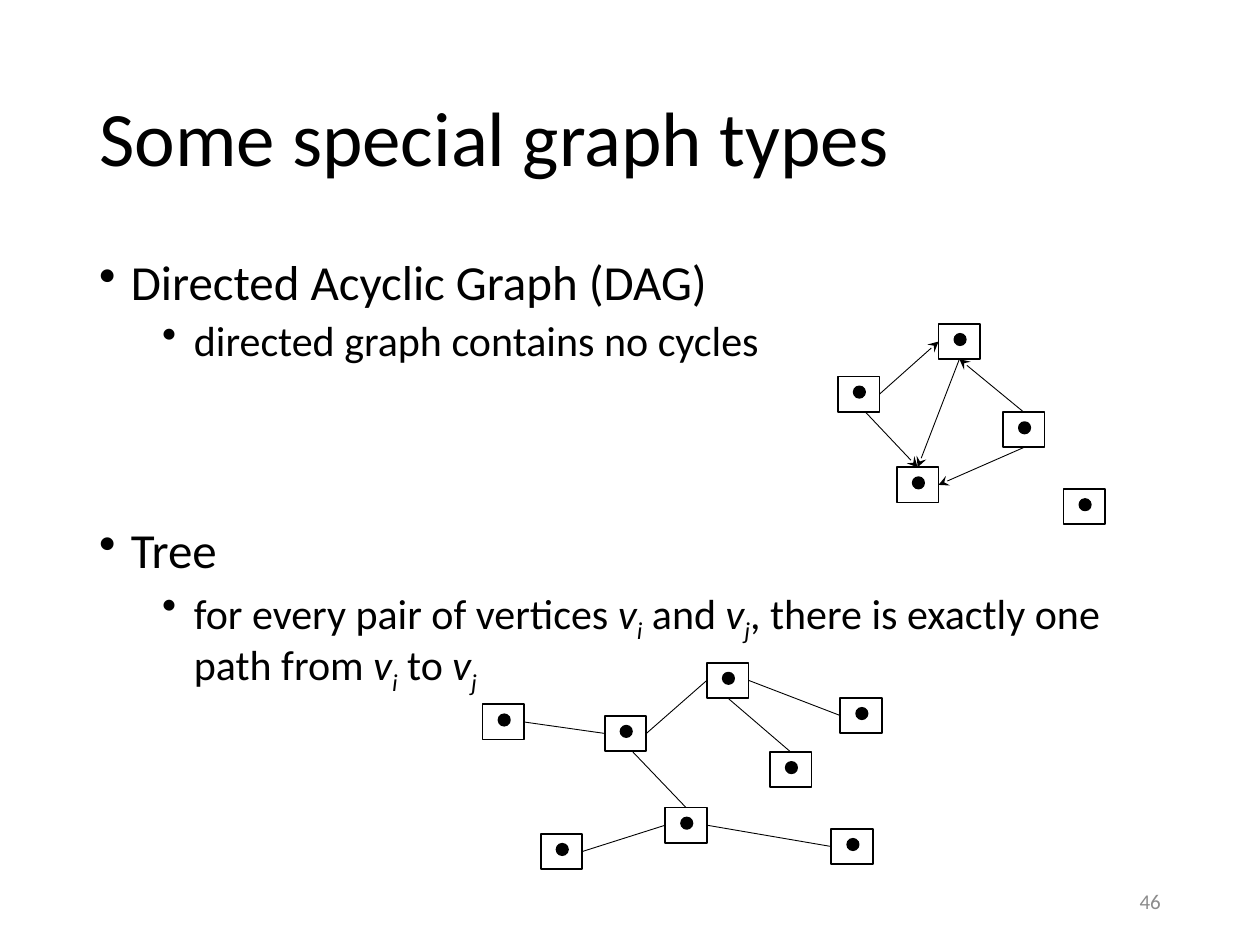
import pptx
import pptx.dml.color
import pptx.enum.dml
import pptx.enum.shapes
import pptx.enum.text
import pptx.oxml
import pptx.oxml.ns
import pptx.util
from lxml import etree

Cm = pptx.util.Cm
Pt = pptx.util.Pt
qn = pptx.oxml.ns.qn
ANCHOR = pptx.enum.text.MSO_ANCHOR
ALIGN = pptx.enum.text.PP_ALIGN
SHAPE = pptx.enum.shapes.MSO_SHAPE
COLORS = {"ink": "000000", "number": "8C8C8C"}
FONT = "Calibri"
TOP, LEFT, BOTTOM, RIGHT = range(4)
NODE_WIDTH, NODE_HEIGHT = 0.84, 0.71
DOT_SIZE, DOT_X, DOT_Y = 0.23, 0.32, 0.2
SIDES = {TOP: (0.5, 0), LEFT: (0, 0.5), BOTTOM: (0.5, 1), RIGHT: (1, 0.5)}

DAG_NODES = {
    "west": (16.89, 7.59), "north": (18.92, 6.53), "east": (20.22, 8.31),
    "south": (18.08, 9.42), "isolated": (21.44, 9.86),
}
DAG_EDGES = [
    ("west", BOTTOM, "south", TOP, 0.13),
    ("north", BOTTOM, "south", TOP, 0),
    ("east", TOP, "north", BOTTOM, 0),
    ("west", RIGHT, "north", LEFT, 0),
    ("east", BOTTOM, "south", RIGHT, 0),
]
TREE_NODES = {
    "hub": (12.19, 14.43), "north": (14.25, 13.36), "east": (15.52, 15.16),
    "south": (13.41, 16.28), "southeast": (16.76, 16.71),
    "northeast": (16.94, 14.07), "west": (9.73, 14.2),
    "southwest": (10.9, 16.81),
}
TREE_EDGES = [
    ("hub", BOTTOM, "south", TOP, 0.13),
    ("southeast", LEFT, "south", RIGHT, 0),
    ("east", TOP, "north", BOTTOM, 0),
    ("hub", RIGHT, "north", LEFT, 0),
    ("northeast", LEFT, "north", RIGHT, 0),
    ("southwest", RIGHT, "south", LEFT, 0),
    ("west", RIGHT, "hub", LEFT, 0),
]


def rgb(name):
    return pptx.dml.color.RGBColor.from_string(COLORS[name])


def add_run(paragraph, text, size=24, color="ink", italic=False, subscript=False):
    run = paragraph.add_run()
    run.text = text
    run.font.name = FONT
    run.font.size = Pt(size)
    run.font.color.rgb = rgb(color)
    if italic:
        run.font.italic = True
    if subscript:
        run.font._element.set("baseline", "-25000")


class SlideBuilder:
    def __init__(self, slide):
        self.slide = slide

    def text_box(self, left, top, width, height, anchor):
        box = self.slide.shapes.add_textbox(Cm(left), Cm(top), Cm(width), Cm(height))
        frame = box.text_frame
        frame.word_wrap = True
        frame.vertical_anchor = anchor
        return frame

    def bullet(self, paragraph, indent, space_before):
        paragraph.line_spacing = 0.9
        paragraph.space_before = Pt(space_before)
        properties = paragraph._p.get_or_add_pPr()
        properties.set("marL", str(Cm(indent)))
        properties.set("indent", str(-Cm(0.64)))
        etree.SubElement(properties, qn("a:buChar")).set("char", "•")

    def outlined(self, group, preset, left, top, width, height):
        shape = group.shapes.add_shape(preset, Cm(left), Cm(top), Cm(width), Cm(height))
        shape.shadow.inherit = False
        shape.fill.background()
        shape.line.color.rgb = rgb("ink")
        shape.line.width = Pt(1)
        return shape

    def node(self, group, left, top):
        frame = self.outlined(group, SHAPE.RECTANGLE, left, top, NODE_WIDTH, NODE_HEIGHT)
        dot = self.outlined(group, SHAPE.OVAL, left + DOT_X, top + DOT_Y, DOT_SIZE, DOT_SIZE)
        dot.fill.solid()
        dot.fill.fore_color.rgb = rgb("ink")
        return frame

    def edge(self, group, start, start_side, end, end_side, shift, directed):
        points = []
        for node, side in ((start, start_side), (end, end_side)):
            across, down = SIDES[side]
            points += [int(node.left + across * node.width), int(node.top + down * node.height)]
        points[0] += Cm(shift)
        connector = group.shapes.add_connector(
            pptx.enum.shapes.MSO_CONNECTOR.STRAIGHT, *points)
        if not shift:
            connector.begin_connect(start, start_side)
        connector.end_connect(end, end_side)
        connector.line.color.rgb = rgb("ink")
        connector.line.width = Pt(0.5)
        if directed:
            line = connector.line._get_or_add_ln()
            etree.SubElement(line, qn("a:tailEnd")).set("type", "stealth")
        etree.SubElement(connector._element.spPr, qn("a:effectLst"))

    def graph(self, nodes, edges, directed):
        group = self.slide.shapes.add_group_shape()
        frames = {name: self.node(group, *place) for name, place in nodes.items()}
        for start, start_side, end, end_side, shift in edges:
            self.edge(group, frames[start], start_side, frames[end], end_side, shift, directed)


def main():
    presentation = pptx.Presentation()
    presentation.slide_width = Cm(25.4)
    presentation.slide_height = Cm(19.05)
    builder = SlideBuilder(presentation.slides.add_slide(presentation.slide_layouts[6]))

    title = builder.text_box(1.75, 1.02, 21.9, 3.68, ANCHOR.MIDDLE).paragraphs[0]
    title.line_spacing = 0.9
    add_run(title, "Some special graph types", size=44)

    vertex = ("v", {"italic": True})
    index_i = ("i", {"italic": True, "subscript": True})
    index_j = ("j", {"italic": True, "subscript": True})
    items = [
        (0.64, 0, [("Directed Acyclic Graph (DAG)", {"size": 28})]),
        (1.91, 5, [("directed graph contains no cycles", {})]),
        (0.64, 92, [("Tree", {"size": 28})]),
        (1.91, 5, [
            ("for every pair of vertices ", {}), vertex, index_i,
            (" and ", {}), vertex, index_j,
            (", there is exactly one path from ", {}), vertex, index_i,
            (" to ", {}), vertex, index_j,
        ]),
    ]
    body = builder.text_box(1.75, 5.08, 21.9, 12.09, ANCHOR.TOP)
    for position, (indent, space_before, runs) in enumerate(items):
        paragraph = body.add_paragraph() if position else body.paragraphs[0]
        builder.bullet(paragraph, indent, space_before)
        if indent > 1:
            paragraph.level = 1
        for text, style in runs:
            add_run(paragraph, text, **style)

    number = builder.text_box(17.93, 17.65, 5.72, 1.02, ANCHOR.MIDDLE).paragraphs[0]
    number.alignment = ALIGN.RIGHT
    add_run(number, "46", size=12, color="number")

    builder.graph(DAG_NODES, DAG_EDGES, directed=True)
    builder.graph(TREE_NODES, TREE_EDGES, directed=False)
    presentation.save("out.pptx")


if __name__ == "__main__":
    main()
